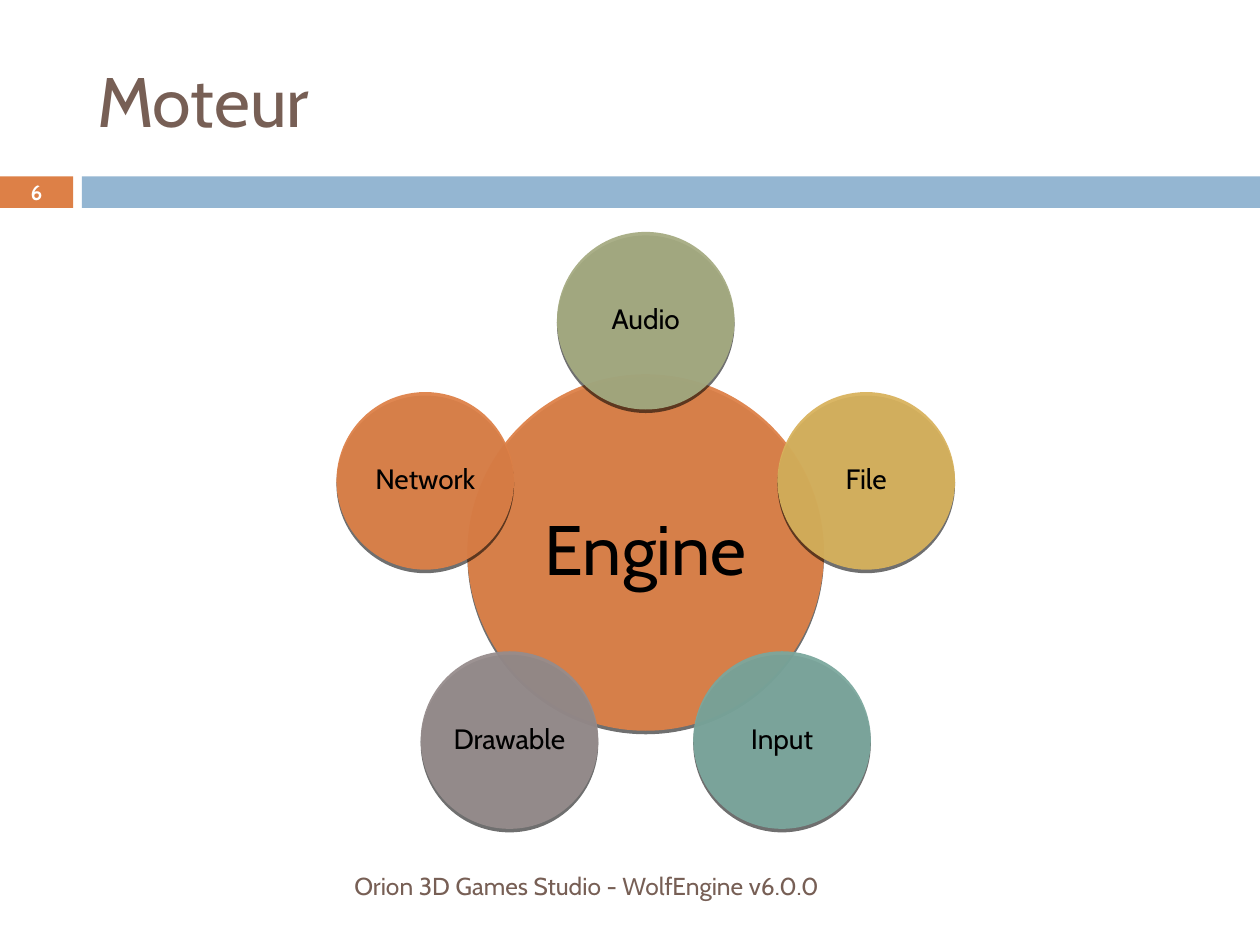
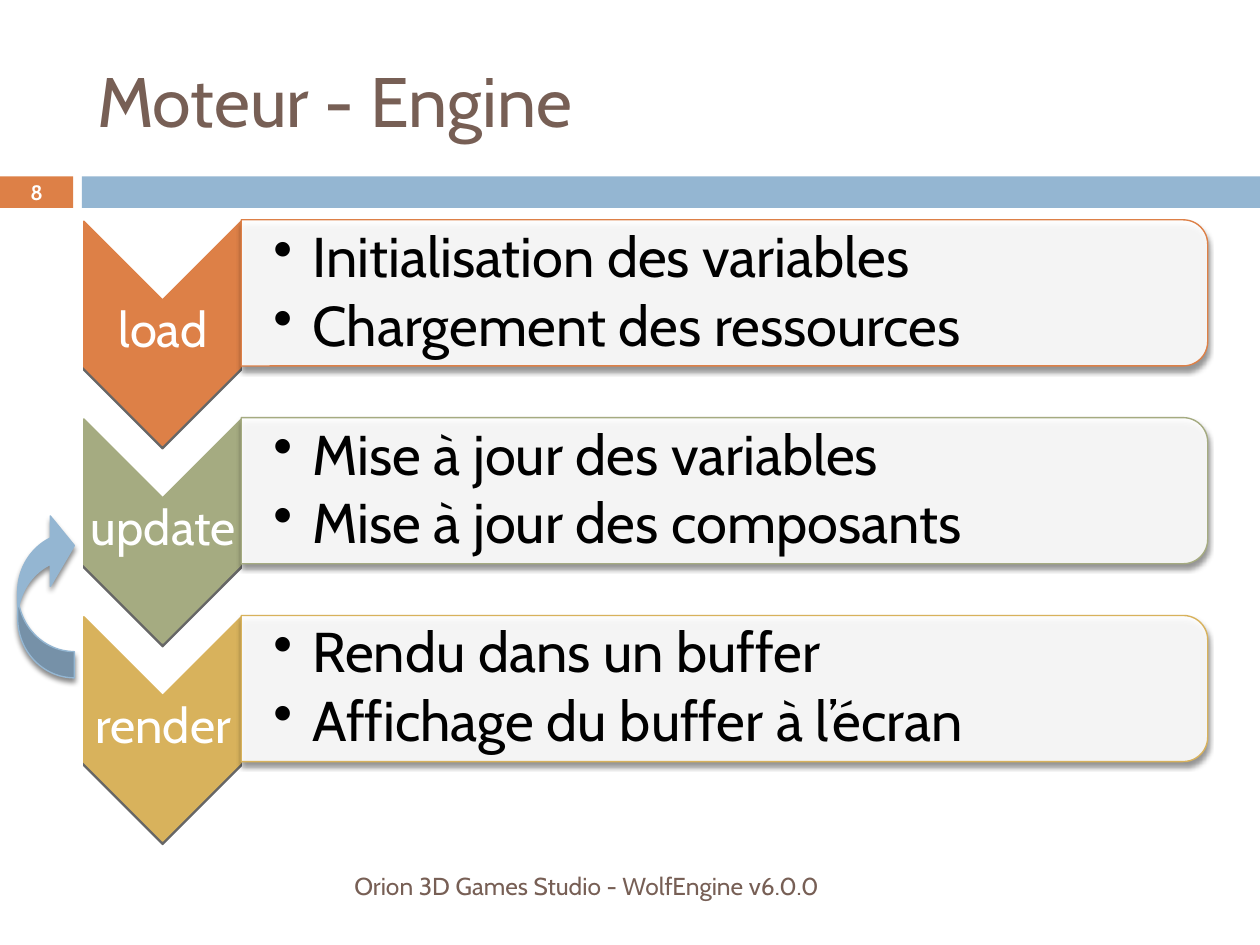
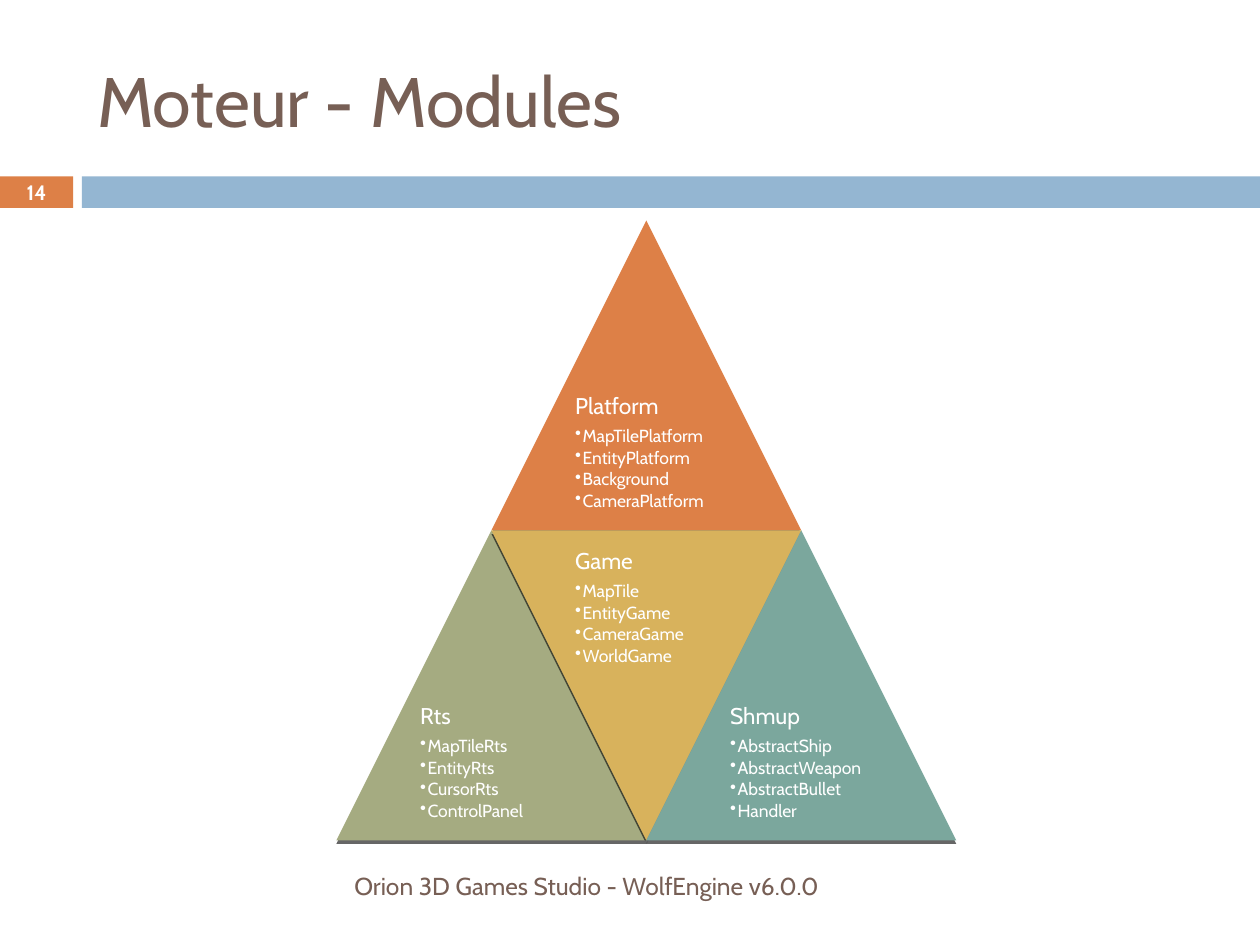
import math

import pptx
import pptx.dml.color
import pptx.enum.shapes
import pptx.enum.text
import pptx.oxml
import pptx.oxml.ns
import pptx.util
from lxml import etree

Inches = pptx.util.Inches
Shape = pptx.enum.shapes.MSO_SHAPE
Align = pptx.enum.text.PP_ALIGN

FONT = "Cabin"
ORANGE, BLUE, GREEN = "DD8047", "94B6D2", "A5AB81"
YELLOW, TEAL, GREY = "D8B25C", "7BA79D", "968C8C"
BROWN, BLACK, WHITE = "775F55", "000000", "FFFFFF"
# Shadows: opacity in percent, blur and distance in points
HARD_SHADOW = (60, 0, 2)
SOFT_SHADOW = (45, 3, 2.4)


def color(hex_code):
    """Turn a hex string into a colour."""
    return pptx.dml.color.RGBColor.from_string(hex_code)


def add_shape(slide, kind, box, fill, line=None, opacity=100, shadow=None, rotation=0):
    """Add a filled preset shape, with an outline and a downward shadow if given."""
    shape = slide.shapes.add_shape(kind, *map(Inches, box))
    shape.rotation = rotation
    shape.fill.solid()
    shape.fill.fore_color.rgb = color(fill)
    if opacity < 100:
        fill_color = shape.fill._xPr.find(".//" + pptx.oxml.ns.qn("a:srgbClr"))
        etree.SubElement(fill_color, pptx.oxml.ns.qn("a:alpha"), val=str(opacity * 1000))
    if line:
        shape.line.color.rgb = color(line)
        shape.line.width = pptx.util.Pt(0.79)
    else:
        shape.line.fill.background()
    shape.shadow.inherit = False
    if shadow:
        strength, blur, distance = shadow
        effects = shape._element.spPr.find(pptx.oxml.ns.qn("a:effectLst"))
        effects.append(pptx.oxml.parse_xml(
            f'<a:outerShdw {pptx.oxml.ns.nsdecls("a")} blurRad="{pptx.util.Pt(blur)}" '
            f'dist="{pptx.util.Pt(distance)}" dir="5400000" rotWithShape="0">'
            f'<a:srgbClr val="{BLACK}"><a:alpha val="{strength * 1000}"/></a:srgbClr>'
            '</a:outerShdw>'))
    return shape


def write_text(shape, lines, size, text_color, align=Align.LEFT, insets=(0.1, 0.05),
               bold=False, line_spacing=0.9, indent=0, heading_size=None):
    """Fill a text shape; an indent makes bullets, a heading size frees the first line."""
    frame = shape.text_frame
    frame.text = "\n".join(lines)
    frame.word_wrap = True
    frame.auto_size = pptx.enum.text.MSO_AUTO_SIZE.NONE
    frame.vertical_anchor = pptx.enum.text.MSO_ANCHOR.MIDDLE
    side, rest = insets
    frame.margin_left = Inches(side)
    frame.margin_right = Inches(min(side, 0.1))
    frame.margin_top = frame.margin_bottom = Inches(rest)
    for index, paragraph in enumerate(frame.paragraphs):
        heading = heading_size and index == 0
        line_size = heading_size if heading else size
        paragraph.alignment = align
        paragraph.line_spacing = line_spacing
        paragraph.space_after = pptx.util.Pt(line_size * (0.35 if heading else 0.15))
        if indent and not heading:
            properties = paragraph._p.get_or_add_pPr()
            properties.set("marL", str(Inches(indent)))
            properties.set("indent", str(-Inches(indent)))
            etree.SubElement(properties, pptx.oxml.ns.qn("a:buChar"), char="•")
        for run in paragraph.runs:
            run.font.name = FONT
            run.font.size = pptx.util.Pt(line_size)
            run.font.bold = bold
            run.font.color.rgb = color(text_color)


presentation = pptx.Presentation()
presentation.slide_width = Inches(10)
presentation.slide_height = Inches(7.5)

# Title, bands, footer and number of every slide
slides = []
for title, number in [("Moteur", "6"), ("Moteur - Engine", "8"), ("Moteur - Modules", "14")]:
    slide = presentation.slides.add_slide(presentation.slide_layouts[5])
    heading = slide.shapes.title
    heading.left, heading.top, heading.width, heading.height = map(
        Inches, (0.67, 0.25, 8.92, 1.08))
    write_text(heading, [title], 40, BROWN, line_spacing=1.0)
    add_shape(slide, Shape.RECTANGLE, (0, 1.4, 0.58, 0.25), ORANGE)
    add_shape(slide, Shape.RECTANGLE, (0.65, 1.4, 9.35, 0.25), BLUE)
    footer = slide.shapes.add_textbox(*map(Inches, (0.67, 6.83, 5.93, 0.4)))
    write_text(footer, ["Orion 3D Games Studio - WolfEngine v6.0.0"], 14, BROWN,
               align=Align.RIGHT, line_spacing=1.0)
    number_box = slide.shapes.add_textbox(*map(Inches, (0, 1.39, 0.58, 0.27)))
    write_text(number_box, [number], 11.9, WHITE, align=Align.CENTER, bold=True,
               line_spacing=1.0)
    slides.append(slide)
wheel_slide, loop_slide, modules_slide = slides

# Engine wheel: a hub, then satellites clockwise from the top
HUB_X, HUB_Y, ORBIT = 5.125, 4.385, 1.84
circles = [("Engine", ORANGE, HUB_X, HUB_Y, 2.83, 2, 40, 0.06)]
satellites = [("Audio", GREEN), ("File", YELLOW), ("Input", TEAL),
              ("Drawable", GREY), ("Network", ORANGE)]
for index, (name, fill) in enumerate(satellites):
    angle = math.tau * index / len(satellites)
    circles.append((name, fill, HUB_X + ORBIT * math.sin(angle),
                    HUB_Y - ORBIT * math.cos(angle), 1.41, 1, 16, 0.02))
for name, fill, x, y, diameter, label_side, size, inset in circles:
    add_shape(wheel_slide, Shape.OVAL,
              (x - diameter / 2, y - diameter / 2, diameter, diameter),
              fill, opacity=94, shadow=HARD_SHADOW)
    label = wheel_slide.shapes.add_textbox(*map(
        Inches, (x - label_side / 2, y - label_side / 2, label_side, label_side)))
    write_text(label, [name], size, BLACK, align=Align.CENTER, insets=(inset, inset))

# Engine loop: a chevron and a panel per step
STEP_PITCH = 1.57
steps = [
    ("load", ORANGE, ["Initialisation des variables", "Chargement des ressources"]),
    ("update", GREEN, ["Mise à jour des variables", "Mise à jour des composants"]),
    ("render", YELLOW, ["Rendu dans un buffer", "Affichage du buffer à l’écran"]),
]
for index, (name, fill, tasks) in enumerate(steps):
    offset = index * STEP_PITCH
    add_shape(loop_slide, Shape.CHEVRON, (0.4, 2.02 + offset, 1.78, 1.25), fill,
              line=fill, shadow=HARD_SHADOW, rotation=90)
    label = loop_slide.shapes.add_textbox(*map(Inches, (0.67, 2.37 + offset, 1.25, 0.53)))
    write_text(label, [name], 28, WHITE, align=Align.CENTER, insets=(0.02, 0.02))
    add_shape(loop_slide, Shape.ROUND_2_SAME_RECTANGLE, (5.17, -1.51 + offset, 1.16, 7.67),
              WHITE, line=fill, opacity=90, shadow=SOFT_SHADOW, rotation=90)
    panel_text = loop_slide.shapes.add_textbox(*map(
        Inches, (1.92, 1.81 + offset, 7.61, 1.04)))
    write_text(panel_text, tasks, 32, BLACK, insets=(0.25, 0.02), indent=0.31)

return_arrow = add_shape(loop_slide, Shape.CURVED_LEFT_ARROW, (0.14, 4.05, 0.45, 1.33), BLUE,
                         line=BLUE, shadow=SOFT_SHADOW, rotation=180)
for index, value in enumerate((0.464, 1.241, 0.425)):
    return_arrow.adjustments[index] = value

# Module pyramid: four triangles of one size, the middle one upside down
SIDE = 2.46
PYRAMID_LEFT, PYRAMID_TOP = 2.67, 1.75
modules = [
    ("Platform", ORANGE, 0.5, 0, 0,
     ["MapTilePlatform", "EntityPlatform", "Background", "CameraPlatform"]),
    ("Rts", GREEN, 0, 1, 0, ["MapTileRts", "EntityRts", "CursorRts", "ControlPanel"]),
    ("Game", YELLOW, 0.5, 1, 180, ["MapTile", "EntityGame", "CameraGame", "WorldGame"]),
    ("Shmup", TEAL, 1, 1, 0,
     ["AbstractShip", "AbstractWeapon", "AbstractBullet", "Handler"]),
]
for name, fill, column, row, rotation, classes in modules:
    left = PYRAMID_LEFT + column * SIDE
    top = PYRAMID_TOP + row * SIDE
    add_shape(modules_slide, Shape.ISOSCELES_TRIANGLE, (left, top, SIDE, SIDE), fill,
              shadow=HARD_SHADOW, rotation=rotation)
    text_top = top if rotation else top + SIDE / 2
    label = modules_slide.shapes.add_textbox(*map(
        Inches, (left + SIDE / 4, text_top, SIDE / 2, SIDE / 2)))
    write_text(label, [name] + classes, 10, WHITE, insets=(0.05, 0.05), indent=0.06,
               heading_size=13)

presentation.save("out.pptx")
